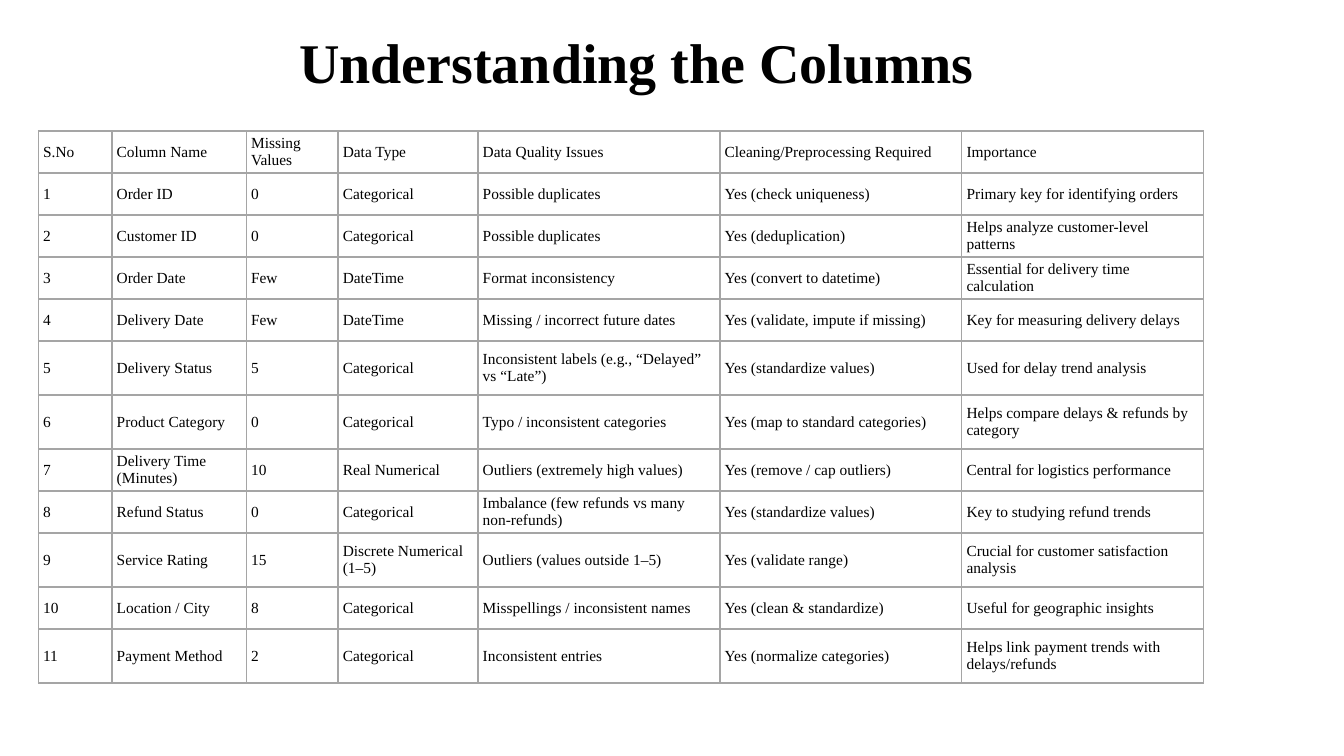
import dataclasses

import lxml.etree
import pptx
import pptx.dml.color
import pptx.enum.text
import pptx.oxml.ns
import pptx.util

Pt = pptx.util.Pt


@dataclasses.dataclass(frozen=True)
class Theme:
    """Colours, font and sizes of the slide."""
    font: str = "Times New Roman"
    text: str = "000000"
    border: str = "A5A5A5"
    border_width: float = 1
    title_size: float = 40
    cell_size: float = 11
    inset_x: float = 3.4
    inset_y: float = 1.6


THEME = Theme()
SHORT_ROW, TALL_ROW = 30, 38.6
TALL_ROWS = {5, 6, 9, 11}
COLUMN_WIDTHS = [52.6, 96, 65.5, 100, 172.8, 172.8, 172.8]
HEADER = ["S.No", "Column Name", "Missing Values", "Data Type", "Data Quality Issues",
          "Cleaning/Preprocessing Required", "Importance"]
DATASET_COLUMNS = [
    ["Order ID", "0", "Categorical", "Possible duplicates",
     "Yes (check uniqueness)", "Primary key for identifying orders"],
    ["Customer ID", "0", "Categorical", "Possible duplicates",
     "Yes (deduplication)", "Helps analyze customer-level patterns"],
    ["Order Date", "Few", "DateTime", "Format inconsistency",
     "Yes (convert to datetime)", "Essential for delivery time calculation"],
    ["Delivery Date", "Few", "DateTime", "Missing / incorrect future dates",
     "Yes (validate, impute if missing)", "Key for measuring delivery delays"],
    ["Delivery Status", "5", "Categorical", "Inconsistent labels (e.g., “Delayed” vs “Late”)",
     "Yes (standardize values)", "Used for delay trend analysis"],
    ["Product Category", "0", "Categorical", "Typo / inconsistent categories",
     "Yes (map to standard categories)", "Helps compare delays & refunds by category"],
    ["Delivery Time (Minutes)", "10", "Real Numerical", "Outliers (extremely high values)",
     "Yes (remove / cap outliers)", "Central for logistics performance"],
    ["Refund Status", "0", "Categorical", "Imbalance (few refunds vs many non-refunds)",
     "Yes (standardize values)", "Key to studying refund trends"],
    ["Service Rating", "15", "Discrete Numerical (1–5)", "Outliers (values outside 1–5)",
     "Yes (validate range)", "Crucial for customer satisfaction analysis"],
    ["Location / City", "8", "Categorical", "Misspellings / inconsistent names",
     "Yes (clean & standardize)", "Useful for geographic insights"],
    ["Payment Method", "2", "Categorical", "Inconsistent entries",
     "Yes (normalize categories)", "Helps link payment trends with delays/refunds"],
]


def format_text(text_frame, size, bold=False):
    """Left-align the text and give its runs the theme font and colour."""
    for paragraph in text_frame.paragraphs:
        paragraph.alignment = pptx.enum.text.PP_ALIGN.LEFT
        for run in paragraph.runs:
            run.font.name = THEME.font
            run.font.size = Pt(size)
            run.font.bold = bold
            run.font.color.rgb = pptx.dml.color.RGBColor.from_string(THEME.text)


def add_borders(cell):
    """Draw a solid line on all four sides of a cell."""
    qualified = pptx.oxml.ns.qn
    properties = cell._tc.get_or_add_tcPr()
    for position, side in enumerate(("lnL", "lnR", "lnT", "lnB")):
        line = lxml.etree.Element(qualified(f"a:{side}"), w=str(Pt(THEME.border_width)))
        fill = lxml.etree.SubElement(line, qualified("a:solidFill"))
        lxml.etree.SubElement(fill, qualified("a:srgbClr"), val=THEME.border)
        properties.insert(position, line)


def fill_cell(cell, text):
    """Write and format one table cell."""
    cell.text_frame.text = text
    cell.vertical_anchor = pptx.enum.text.MSO_ANCHOR.MIDDLE
    cell.margin_left = cell.margin_right = Pt(THEME.inset_x)
    cell.margin_top = cell.margin_bottom = Pt(THEME.inset_y)
    cell.fill.background()
    format_text(cell.text_frame, THEME.cell_size)
    add_borders(cell)


def place_title(slide, left, top, width, height):
    """Place the slide title in the given box."""
    title = slide.shapes.title
    title.left, title.top, title.width, title.height = map(Pt, (left, top, width, height))
    text_frame = title.text_frame
    text_frame.text = "Understanding the Columns"
    text_frame.word_wrap = True
    text_frame.auto_size = pptx.enum.text.MSO_AUTO_SIZE.NONE
    text_frame.vertical_anchor = pptx.enum.text.MSO_ANCHOR.TOP
    text_frame.paragraphs[0].line_spacing = 1.0
    text_frame.paragraphs[0].space_before = Pt(0)
    format_text(text_frame, THEME.title_size, bold=True)


def place_column_table(slide, left, top):
    """Place the table of dataset columns with its top left corner at the given point."""
    rows = [HEADER] + [[str(number), *row] for number, row in enumerate(DATASET_COLUMNS, 1)]
    heights = [TALL_ROW if index in TALL_ROWS else SHORT_ROW for index in range(len(rows))]
    table = slide.shapes.add_table(len(rows), len(HEADER), Pt(left), Pt(top),
                                   Pt(sum(COLUMN_WIDTHS)), Pt(sum(heights))).table
    table.first_row = table.horz_banding = False
    for column, width in zip(table.columns, COLUMN_WIDTHS):
        column.width = Pt(width)
    for table_row, height, texts in zip(table.rows, heights, rows):
        table_row.height = Pt(height)
        for cell, text in zip(table_row.cells, texts):
            fill_cell(cell, text)


def main():
    """Build and save the presentation."""
    presentation = pptx.Presentation()
    presentation.slide_width, presentation.slide_height = Pt(960), Pt(540)
    slide = presentation.slides.add_slide(presentation.slide_layouts[5])
    place_title(slide, 206.6, 15.8, 530.6, 55.4)
    place_column_table(slide, 27.4, 93.6)
    presentation.save("out.pptx")


if __name__ == "__main__":
    main()
